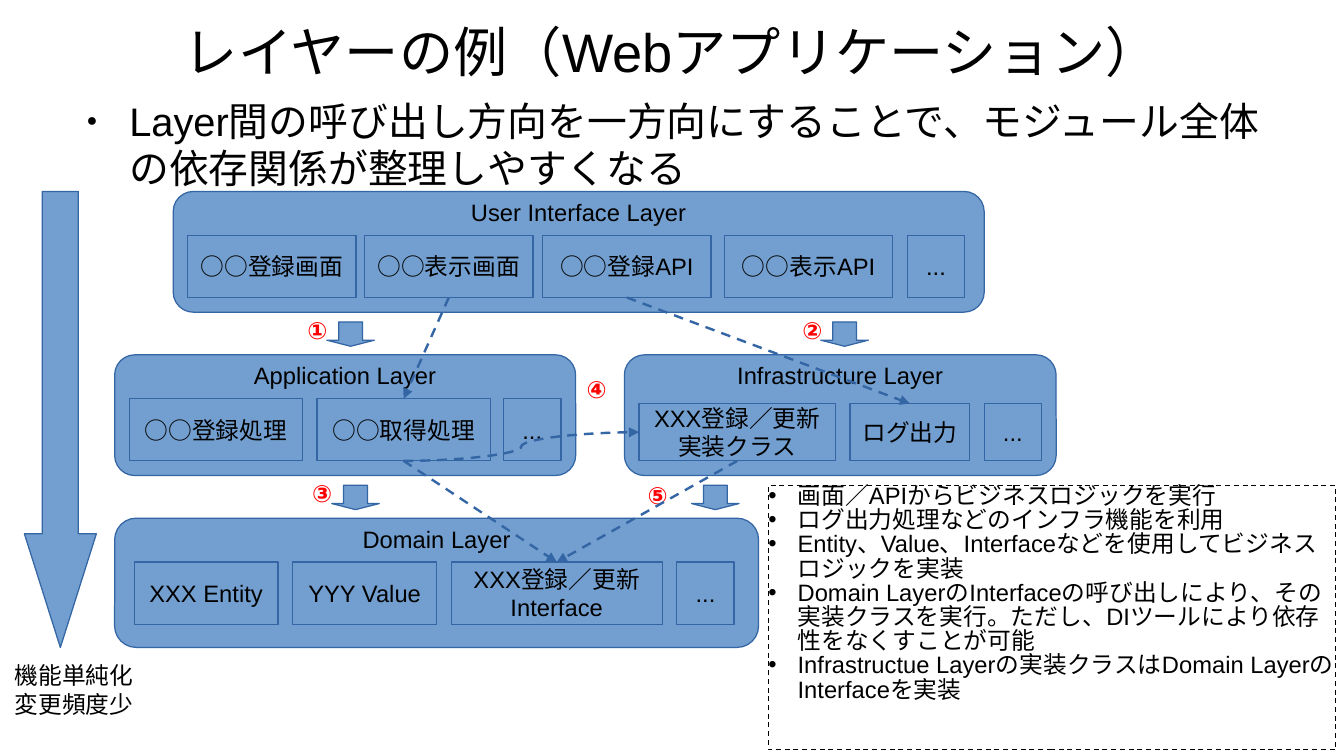
import pptx
import pptx.util
import pptx.dml.color
import pptx.enum.dml
import pptx.enum.shapes
import pptx.enum.text
import pptx.oxml

# All lengths count cells of a grid with 1102 columns and 620 rows, 100 to the inch.
COLUMNS, ROWS = 1102, 620
BLACK, RED, FILL, EDGE = "000000", "FF0000", "729FCF", "3465A4"
FONT = "Arial"

TITLE = "レイヤーの例（Webアプリケーション）"
MESSAGE = "Layer間の呼び出し方向を一方向にすることで、モジュール全体の依存関係が整理しやすくなる"
TREND = "機能単純化\n変更頻度少"

# name, (left, top, width, height), (part top, part height), parts as (text, gap before, width)
LAYERS = [
    ("Application Layer", (94, 291, 378, 99), (327, 51),
     [("○○登録処理", 12, 142), ("○○取得処理", 12, 142), ("...", 11, 47)]),
    ("Domain Layer", (94, 425, 528, 106), (461, 51),
     [("XXX Entity", 16, 118), ("YYY Value", 12, 118),
      ("XXX登録／更新\nInterface", 12, 173), ("...", 12, 47)]),
    ("User Interface Layer", (142, 157, 665, 99), (193, 51),
     [("○○登録画面", 12, 138), ("○○表示画面", 7, 138), ("○○登録API", 8, 138),
      ("○○表示API", 11, 138), ("...", 12, 47)]),
    ("Infrastructure Layer", (512, 291, 354, 99), (331, 47),
     [("XXX登録／更新\n実装クラス", 12, 161), ("ログ出力", 12, 98), ("...", 12, 47)]),
]
# Calls from the bottom of one part to the top of another
CALLS = [
    ("XXX登録／更新\n実装クラス", "XXX登録／更新\nInterface"),
    ("○○表示画面", "○○取得処理"),
    ("○○取得処理", "XXX登録／更新\nInterface"),
    ("○○登録API", "ログ出力"),
]
INJECTED_CALL = ("○○取得処理", "XXX登録／更新\n実装クラス")
# left, top, width, height, share of the narrower side taken by the head
ARROWS = [
    (268, 264, 39, 20, 0.25), (673, 264, 39, 20, 0.25),
    (272, 398, 39, 20, 0.25), (567, 398, 39, 20, 0.25),
    (20, 157, 59, 374, 1.58),
]
MARKS = [("①", 252, 259), ("②", 658, 259), ("③", 256, 393), ("④", 481, 307), ("⑤", 531, 394)]
NOTES = [
    "画面／APIからビジネスロジックを実行",
    "ログ出力処理などのインフラ機能を利用",
    "Entity、Value、Interfaceなどを使用してビジネスロジックを実装",
    "Domain LayerのInterfaceの呼び出しにより、その実装クラスを実行。"
    "ただし、DIツールにより依存性をなくすことが可能",
    "Infrastructue Layerの実装クラスはDomain LayerのInterfaceを実装",
]

SHAPE = pptx.enum.shapes.MSO_SHAPE
CONNECTOR = pptx.enum.shapes.MSO_CONNECTOR
DASH = pptx.enum.dml.MSO_LINE.DASH
ALIGN = pptx.enum.text.PP_ALIGN
ANCHOR = pptx.enum.text.MSO_ANCHOR


def cells(*counts):
    return [pptx.util.Inches(count / 100) for count in counts]


def color(text):
    return pptx.dml.color.RGBColor.from_string(text)


def add_xml(parent, tag, content="", **attributes):
    listed = " ".join(f'{key}="{value}"' for key, value in attributes.items())
    parent.append(pptx.oxml.parse_xml(
        f'<a:{tag} xmlns:a="http://schemas.openxmlformats.org/drawingml/2006/main" '
        f'{listed}>{content}</a:{tag}>'))


def add_bullet(para, char, percent, indent, hanging):
    properties = para._p.get_or_add_pPr()
    properties.set("marL", str(cells(indent)[0]))
    properties.set("indent", str(-cells(hanging)[0]))
    add_xml(properties, "buClr", f'<a:srgbClr val="{BLACK}"/>')
    add_xml(properties, "buSzPct", val=percent * 1000)
    add_xml(properties, "buFont", typeface=FONT)
    add_xml(properties, "buChar", char=char)


def write(box, text, size=14, ink=BLACK, bold=False, align=ALIGN.LEFT, anchor=ANCHOR.TOP,
          side=0, wrap=True, bullet=None, spacing=None):
    """Fill a box with one paragraph per line of text."""
    frame = box.text_frame
    frame.auto_size = pptx.enum.text.MSO_AUTO_SIZE.NONE
    frame.word_wrap = wrap
    frame.vertical_anchor = anchor
    frame.margin_left = frame.margin_right = cells(side)[0]
    frame.margin_top = frame.margin_bottom = 0
    for index, line in enumerate(text.split("\n")):
        para = frame.add_paragraph() if index else frame.paragraphs[0]
        para.alignment = align
        para.space_before = pptx.util.Pt(0)
        if spacing:
            para.line_spacing = spacing
        if bullet:
            add_bullet(para, *bullet)
        span = para.add_run()
        span.text = line
        span.font.name = FONT
        span.font.size = pptx.util.Pt(size)
        span.font.bold = bold
        span.font.color.rgb = color(ink)


def add_block(page, kind, place, fill=FILL, edge=EDGE):
    box = page.shapes.add_shape(kind, *cells(*place))
    box.shadow.inherit = False
    if fill:
        box.fill.solid()
        box.fill.fore_color.rgb = color(fill)
    else:
        box.fill.background()
    box.line.color.rgb = color(edge)
    box.line.width = pptx.util.Pt(0)
    return box


def add_call(page, kind, start, end):
    """Draw a dashed arrow between two (x, y) points."""
    line = page.shapes.add_connector(kind, *start, *end)
    line.line.color.rgb = color(EDGE)
    line.line.width = pptx.util.Pt(1.42)
    line.line.dash_style = DASH
    add_xml(line.line._get_or_add_ln(), "tailEnd", type="triangle")
    add_xml(line._element.spPr, "effectLst")
    return line


def add_layer(page, name, place, band, parts):
    """Draw one layer and return its parts by text."""
    layer = add_block(page, SHAPE.ROUNDED_RECTANGLE, place)
    write(layer, name, align=ALIGN.CENTER)
    drawn = {}
    left = place[0]
    for text, gap, width in parts:
        left += gap
        part = add_block(page, SHAPE.RECTANGLE, (left, band[0], width, band[1]))
        write(part, text, align=ALIGN.CENTER, anchor=ANCHOR.MIDDLE, side=5)
        drawn[text] = part
        left += width
    return drawn


def fill_placeholder(box, place, text, **style):
    box.left, box.top, box.width, box.height = cells(*place)
    write(box, text, **style)


def add_label(page, place, text, **style):
    write(page.shapes.add_textbox(*cells(*place)), text, **style)


def main():
    deck = pptx.Presentation()
    deck.slide_width, deck.slide_height = cells(COLUMNS, ROWS)
    page = deck.slides.add_slide(deck.slide_layouts[1])
    fill_placeholder(page.shapes.title, (55, 10, 992, 64), TITLE, size=32,
                     align=ALIGN.CENTER, anchor=ANCHOR.MIDDLE)
    fill_placeholder(page.placeholders[1], (59, 79, 992, 79), MESSAGE, size=23.5,
                     bullet=("●", 45, 47, 35))

    parts = {}
    for layer in LAYERS:
        parts.update(add_layer(page, *layer))

    for *place, head in ARROWS:
        arrow = add_block(page, SHAPE.DOWN_ARROW, place)
        arrow.adjustments[0] = 0.5
        arrow.adjustments[1] = head
    for mark, left, top in MARKS:
        add_label(page, (left, top, 20, 28), mark, ink=RED, bold=True, wrap=False)
    add_label(page, (12, 542, 98, 57), TREND, wrap=False)

    notes = add_block(page, SHAPE.RECTANGLE, (630, 398, 465, 217), fill=None, edge=BLACK)
    notes.line.dash_style = DASH
    write(notes, "\n".join(NOTES), bullet=("•", 100, 24, 24), spacing=0.85)

    for caller, target in CALLS:
        line = add_call(page, CONNECTOR.STRAIGHT, (0, 0), (0, 0))
        line.begin_connect(parts[caller], 2)
        line.end_connect(parts[target], 0)
    caller, target = (parts[name] for name in INJECTED_CALL)
    add_call(page, CONNECTOR.CURVE,
             (caller.left + caller.width // 2, caller.top + caller.height),
             (target.left, target.top + target.height // 2))
    deck.save("out.pptx")


if __name__ == "__main__":
    main()
